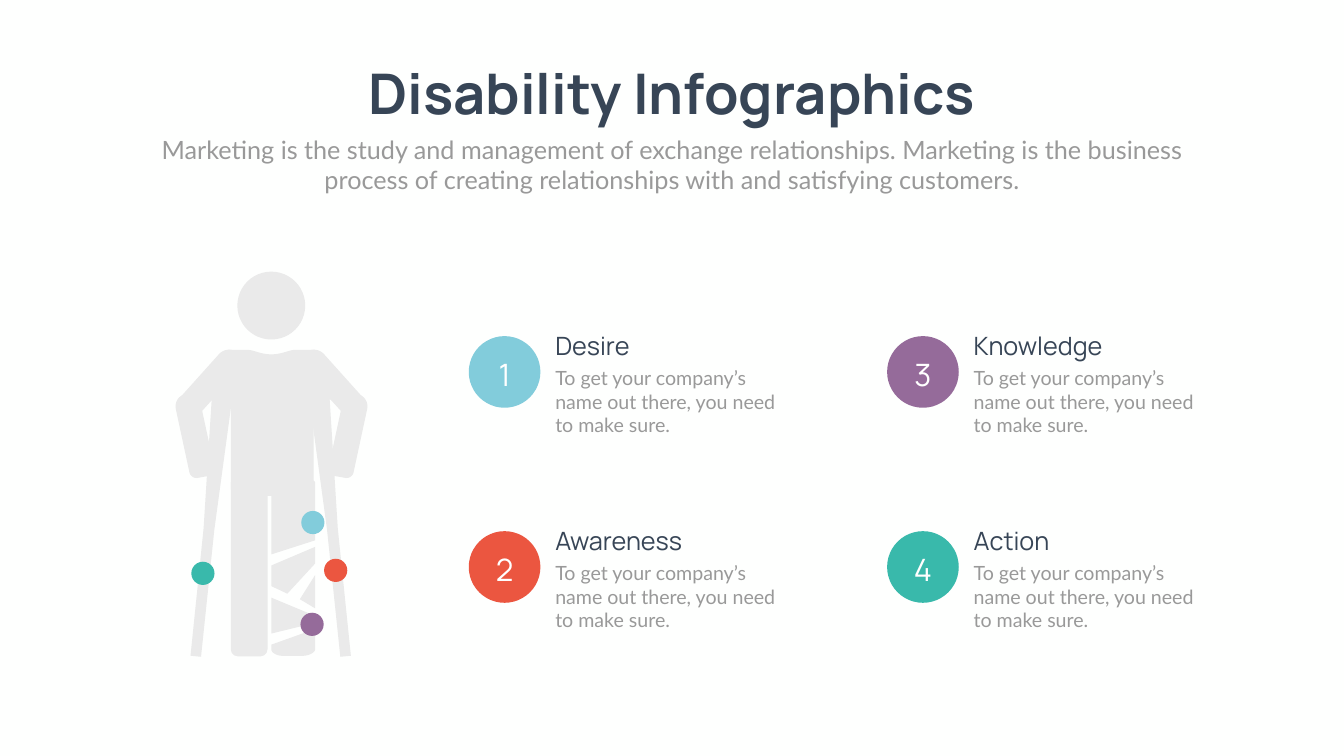
from dataclasses import dataclass

from pptx import Presentation
from pptx.dml.color import RGBColor as RGB
from pptx.enum.shapes import MSO_SHAPE as SHAPE
from pptx.enum.text import MSO_ANCHOR as ANCHOR, MSO_AUTO_SIZE as FIT, PP_ALIGN as ALIGN
from pptx.util import Cm, Pt


@dataclass(frozen=True)
class Theme:
    back: str = "FEFFFE"
    ink: str = "374556"
    soft: str = "999999"
    white: str = "FFFFFF"
    body: str = "EAEAEA"
    blue: str = "82CCDB"
    red: str = "EB5640"
    plum: str = "956B9A"
    teal: str = "39B9AB"
    head: str = "Manrope"
    text: str = "Lato"
    title: int = 80
    lead: int = 36
    digit: int = 44
    note: int = 28


theme = Theme()


def write(box, place, text, size, font, color, align=ALIGN.LEFT, bold=False):
    """Move a box to place (cm) and fill it with one formatted run."""
    box.left, box.top, box.width, box.height = map(Cm, place)
    frame = box.text_frame
    frame.word_wrap = True
    frame.auto_size = FIT.NONE
    frame.vertical_anchor = ANCHOR.TOP
    frame.margin_left = frame.margin_right = Cm(0.25)
    frame.margin_top = frame.margin_bottom = Cm(0.13)
    par = frame.paragraphs[0]
    par.alignment = align
    par.space_before = Pt(0)
    run = par.add_run()
    run.text = text
    run.font.size = Pt(size)
    run.font.name = font
    run.font.bold = bold
    run.font.color.rgb = RGB.from_string(color)
    return frame


def paint(shape, color):
    shape.shadow.inherit = False
    shape.fill.solid()
    shape.fill.fore_color.rgb = RGB.from_string(color)
    shape.line.fill.background()
    return shape


deck = Presentation()
deck.slide_width, deck.slide_height = Cm(67.72), Cm(38.1)
slide = deck.slides.add_slide(deck.slide_layouts[0])
slide.background.fill.solid()
slide.background.fill.fore_color.rgb = RGB.from_string(theme.back)
shapes = slide.shapes

# Heading
write(shapes.title, (17.04, 2.84, 33.63, 3.68), "Disability Infographics",
      theme.title, theme.head, theme.ink, ALIGN.CENTER, True)
write(slide.placeholders[1], (7.42, 6.63, 52.88, 3.33),
      "Marketing is the study and management of exchange relationships. "
      "Marketing is the business process of creating relationships with and "
      "satisfying customers.",
      theme.lead, theme.text, theme.soft, ALIGN.CENTER)

# Numbered items, filled column by column
items = [("Desire", theme.blue), ("Awareness", theme.red),
         ("Knowledge", theme.plum), ("Action", theme.teal)]
for i, (name, color) in enumerate(items):
    x = 23.62 + 21.08 * (i // 2)
    y = 16.94 + 9.83 * (i % 2)
    paint(shapes.add_shape(SHAPE.OVAL, Cm(x), Cm(y), Cm(3.61), Cm(3.61)), color)
    digit, note, label = [shapes.add_textbox(0, 0, 0, 0) for _ in range(3)]
    frame = write(digit, (x, y + 0.84, 3.61, 2.16), str(i + 1),
                  theme.digit, theme.head, theme.white, ALIGN.CENTER)
    frame.vertical_anchor = ANCHOR.MIDDLE
    write(note, (x + 4.11, y + 1.37, 12.09, 3.84),
          "To get your company’s name out there, you need to make sure.",
          theme.note, theme.text, theme.soft)
    write(label, (x + 4.11, y - 0.43, 12.5, 1.8), name,
          theme.lead, theme.head, theme.ink)

# Outlines in cm: a pair is a corner, six numbers are a Bézier curve
forearm = [(9.35, 19.86), (8.99, 19.94, 8.79, 20.27, 8.86, 20.62), (9.55, 23.83),
           (9.6, 24, 9.8, 24.13, 9.98, 24.08), (10.54, 23.98),
           (10.72, 23.93, 10.85, 23.72, 10.8, 23.55), (10.11, 20.35),
           (10.03, 19.99, 9.68, 19.79, 9.35, 19.86)]
arm = [(11.96, 17.78), (11.71, 17.55, 11.3, 17.58, 11.05, 17.83), (9.04, 20.07),
       (8.79, 20.32, 8.84, 20.73, 9.09, 20.96),
       (9.37, 21.21, 9.78, 21.16, 10.01, 20.9), (12.01, 18.69),
       (12.24, 18.42, 12.22, 18.01, 11.96, 17.78)]
crutch = [(10.13, 33.1), (9.6, 33.05), (10.26, 26.62), (10.72, 19.3),
          (11.79, 19.41), (10.8, 26.7)]
yoke = [(15.77, 17.63), (14.88, 17.63), (14.6, 17.63, 14.2, 17.86, 13.67, 17.86),
        (13.13, 17.86, 12.78, 17.63, 12.45, 17.63), (11.58, 17.63),
        (11.18, 17.63, 10.85, 17.96, 10.85, 18.36), (10.85, 18.47),
        (10.85, 18.87, 11.18, 19.23, 11.58, 19.23), (15.77, 19.23),
        (16.18, 19.23, 16.51, 18.9, 16.51, 18.47), (16.51, 18.36),
        (16.51, 17.96, 16.18, 17.63, 15.77, 17.63)]
thigh = [(15.88, 27.23), (15.88, 24.33), (15.88, 24.13, 15.49, 24.21, 15.29, 24.21),
         (14.2, 24.21), (14, 24.21, 13.67, 24.13, 13.67, 24.33), (13.67, 27.94)]
knee = [(13.67, 29.54), (14.48, 29.92), (15.88, 28.4), (15.88, 27.56), (13.67, 28.5)]
calf = [(15.88, 30.66), (15.88, 28.98), (15.11, 30.2)]
shin = [(15.88, 31.39), (15.88, 31.04), (13.67, 30.12), (13.67, 31.93)]
foot = [(13.67, 32.49), (13.67, 32.72), (13.67, 32.92, 14, 33.05, 14.2, 33.05),
        (15.29, 33.05), (15.49, 33.05, 15.88, 32.92, 15.88, 32.72), (15.88, 31.7)]

# Patient on crutches: paired parts are mirrored about their own axis
figure = shapes.add_group_shape()
parts = [(part, None) for part in (yoke, thigh, knee, calf, shin, foot)]
for part, axis in ((forearm, 13.68), (arm, 13.68), (crutch, 13.64)):
    parts += [(part, None), (part, axis)]
for part, axis in parts:
    dots = []
    for step in part:
        if len(step) == 2:
            dots.append(step)
            continue
        ctrl = [dots[-1], step[:2], step[2:4], step[4:]]
        for t in [n / 10 for n in range(1, 11)]:
            mix = ((1 - t) ** 3, 3 * t * (1 - t) ** 2, 3 * t * t * (1 - t), t ** 3)
            dots.append(tuple(sum(m * c[k] for m, c in zip(mix, ctrl)) for k in (0, 1)))
    dots = [(Cm(2 * axis - x if axis else x), Cm(y)) for x, y in dots]
    pen = figure.shapes.build_freeform(*dots[0])
    pen.add_line_segments(dots[1:], close=True)
    paint(pen.convert_to_shape(), theme.body)

solids = [(SHAPE.OVAL, 11.96, 13.69, 3.42, 3.42),
          (SHAPE.RECTANGLE, 10.34, 18.67, 6.63, 1.47),
          (SHAPE.ROUNDED_RECTANGLE, 11.63, 17.93, 4.17, 7.06),
          (SHAPE.ROUNDED_RECTANGLE, 11.63, 23.98, 1.85, 9.1)]
for kind, *place in solids:
    solid = paint(figure.shapes.add_shape(kind, *map(Cm, place)), theme.body)
    if kind == SHAPE.ROUNDED_RECTANGLE:
        solid.adjustments[0] = 0.36 / min(place[2:])

# Markers on the patient, in the order of the items
spots = [(15.18, 25.75), (16.33, 28.16), (15.14, 30.88), (9.64, 28.31)]
for (x, y), (_, color) in zip(spots, items):
    paint(shapes.add_shape(SHAPE.OVAL, Cm(x), Cm(y), Cm(1.17), Cm(1.17)), color)

deck.save("out.pptx")
